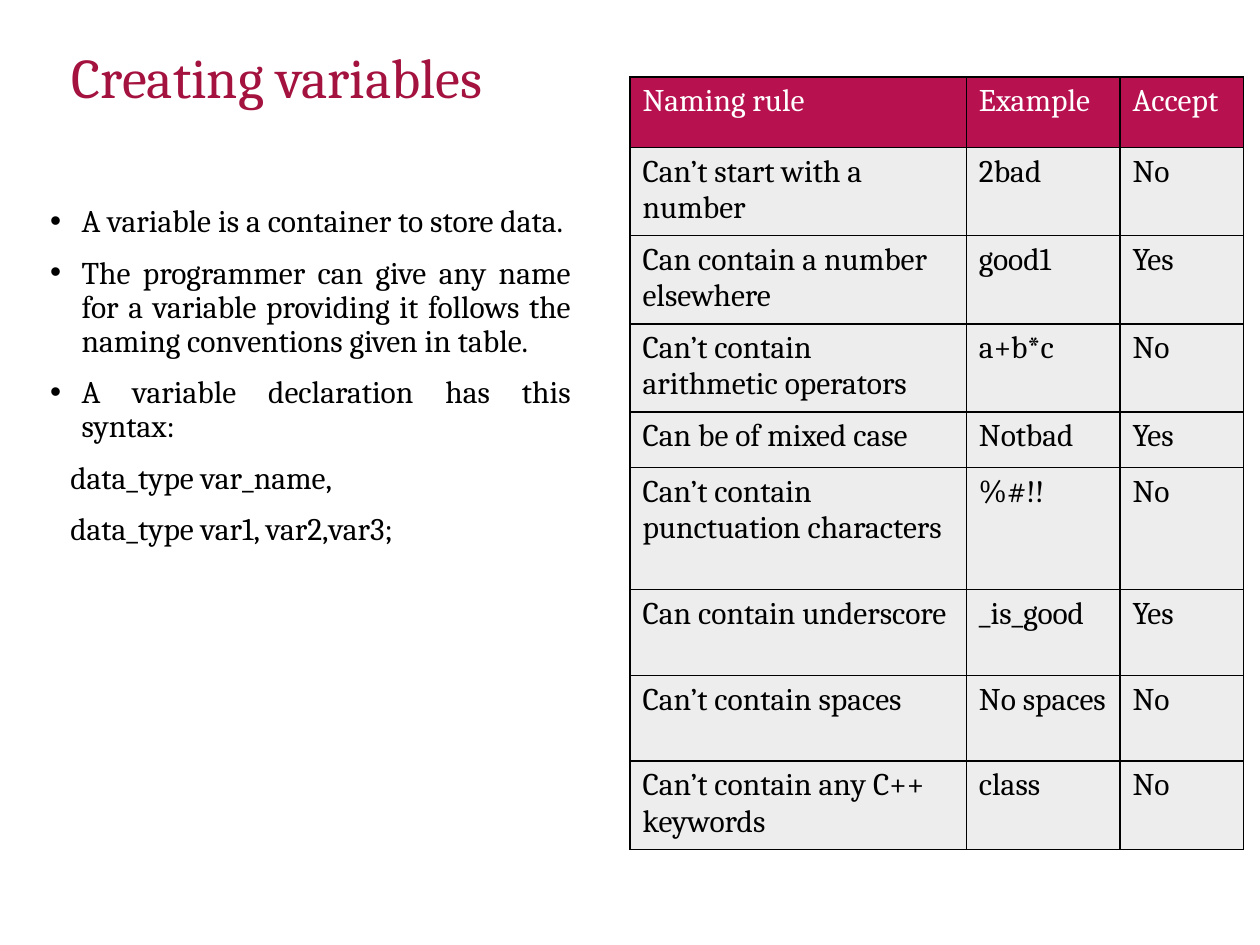
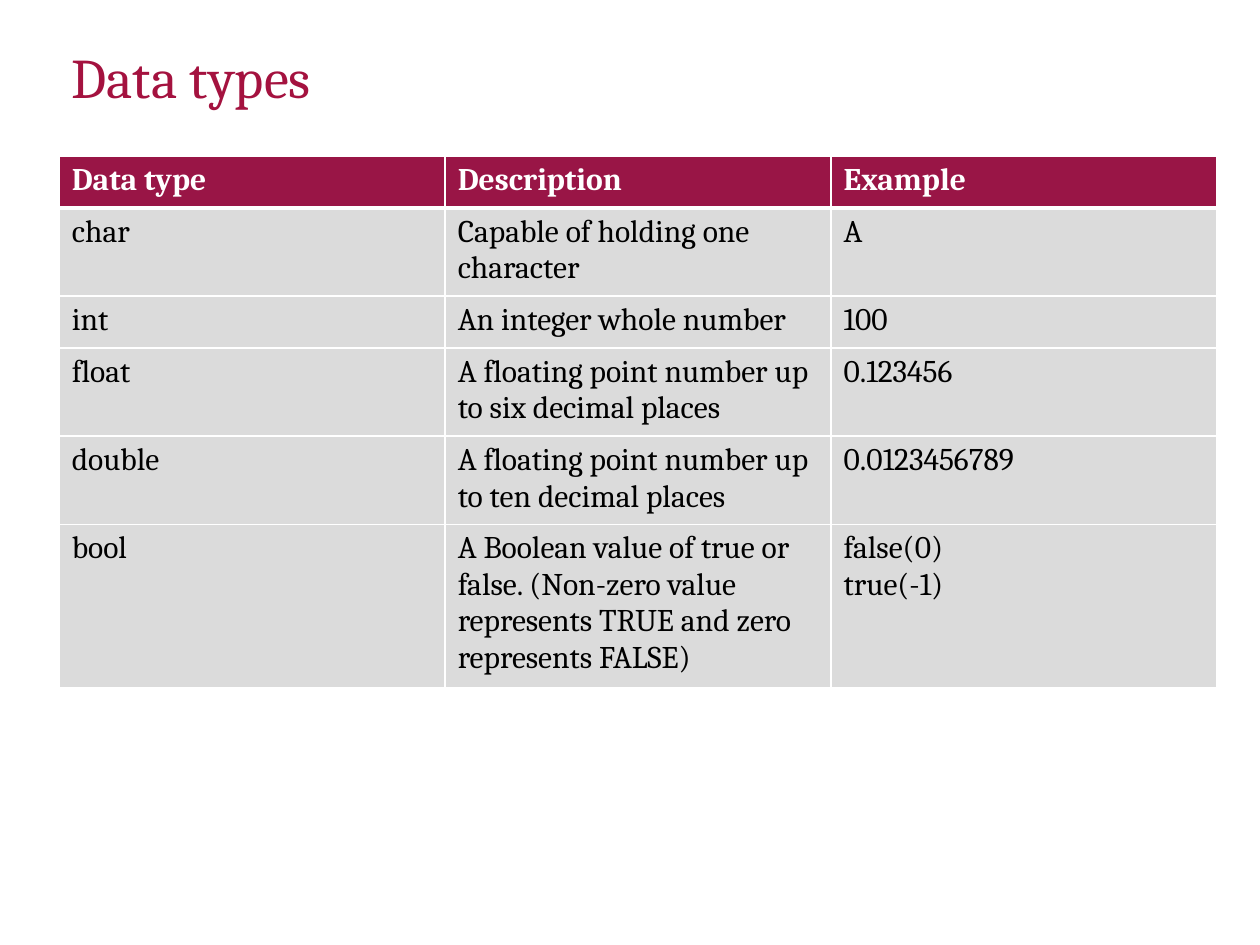
import pptx
import pptx.dml.color
import pptx.enum.text
import pptx.oxml.ns
import pptx.util
from lxml import etree

Inches = pptx.util.Inches
Pt = pptx.util.Pt

FONT = "Cambria"
BLACK, WHITE = "000000", "FFFFFF"
TITLE_COLOR = "A4123F"
TITLE_BOX = (0.47, 0.38, 9.19, 0.51)

NAMING_RULES = [
    ("Naming rule", "Example", "Accept"),
    ("Can’t start with a number", "2bad", "No"),
    ("Can contain a number elsewhere", "good1", "Yes"),
    ("Can’t contain arithmetic operators", "a+b*c", "No"),
    ("Can be of mixed case", "Notbad", "Yes"),
    ("Can’t contain punctuation characters", "%#!!", "No"),
    ("Can contain underscore", "_is_good", "Yes"),
    ("Can’t contain spaces", "No spaces", "No"),
    ("Can’t contain any C++ keywords", "class", "No"),
]
DATA_TYPES = [
    ("Data type", "Description", "Example"),
    ("char", "Capable of holding one character", "A"),
    ("int", "An integer whole number", "100"),
    ("float", "A floating point number up to six decimal places", "0.123456"),
    ("double", "A floating point number up to ten decimal places", "0.0123456789"),
    ("bool", "A Boolean value of true or false. (Non-zero value represents TRUE "
             "and zero represents FALSE)", "false(0)\ntrue(-1)"),
]
VARIABLE_POINTS = [
    "A variable is a container to store data.",
    "The programmer can give any name for a variable providing it follows "
    "the naming conventions given in table.",
    "A variable declaration has this syntax:",
]
SYNTAX_LINES = ["data_type var_name,", "data_type var1, var2,var3;"]


def color(hex_value):
    return pptx.dml.color.RGBColor.from_string(hex_value)


def add_element(parent, tag, **attributes):
    return etree.SubElement(parent, pptx.oxml.ns.qn(tag), attributes)


def set_font(paragraph, size, hex_value, bold=False):
    font = paragraph.font
    font.name = FONT
    font.size = Pt(size)
    font.bold = bold
    font.color.rgb = color(hex_value)


def add_text_frame(slide, box):
    frame = slide.shapes.add_textbox(*map(Inches, box)).text_frame
    frame.word_wrap = True
    return frame


def add_title(slide, text):
    frame = add_text_frame(slide, TITLE_BOX)
    frame.vertical_anchor = pptx.enum.text.MSO_ANCHOR.MIDDLE
    paragraph = frame.paragraphs[0]
    paragraph.text = text
    paragraph.line_spacing = 0.9
    set_font(paragraph, 32, TITLE_COLOR)


def set_indent(paragraph, left, first_line=0.0, bullet=None):
    properties = paragraph._p.get_or_add_pPr()
    properties.set("marL", str(Inches(left)))
    properties.set("indent", str(Inches(first_line)))
    if bullet:
        add_element(properties, "a:buFont", typeface="Arial")
        add_element(properties, "a:buChar", char=bullet)
    else:
        add_element(properties, "a:buNone")


def add_body(slide, box, points, syntax_lines):
    """Bulleted points followed by plain indented syntax lines."""
    frame = add_text_frame(slide, box)
    for index, text in enumerate(points + syntax_lines):
        paragraph = frame.add_paragraph() if index else frame.paragraphs[0]
        paragraph.text = text
        if index < len(points):
            set_indent(paragraph, 0.25, -0.25, "•")
        else:
            set_indent(paragraph, 0.16)
        paragraph.alignment = pptx.enum.text.PP_ALIGN.JUSTIFY
        paragraph.line_spacing = 0.9
        if index:
            paragraph.space_before = Pt(10)
        set_font(paragraph, 18, BLACK)


def set_borders(cell, hex_value, widths):
    """Draw the cell edges; widths maps L, R, T and B to points."""
    properties = cell._tc.get_or_add_tcPr()
    for side, width in widths.items():
        line = add_element(properties, f"a:ln{side}", w=str(Pt(width)))
        fill = add_element(line, "a:solidFill")
        add_element(fill, "a:srgbClr", val=hex_value)


def add_table(slide, origin, widths, heights, rows, header_fill, body_fill,
              border, header_rule=1, bold_header=False):
    left, top = origin
    table = slide.shapes.add_table(
        len(rows), len(widths), Inches(left), Inches(top),
        Inches(sum(widths)), Inches(sum(heights))).table
    table.horz_banding = False
    for column, width in zip(table.columns, widths):
        column.width = Inches(width)
    for row_index, (row, height, texts) in enumerate(zip(table.rows, heights, rows)):
        row.height = Inches(height)
        header = row_index == 0
        edges = {"L": 1, "R": 1,
                 "T": header_rule if row_index == 1 else 1,
                 "B": header_rule if header else 1}
        for cell, text in zip(row.cells, texts):
            set_borders(cell, border, edges)
            cell.fill.solid()
            cell.fill.fore_color.rgb = color(header_fill if header else body_fill)
            cell.text_frame.text = text
            for paragraph in cell.text_frame.paragraphs:
                set_font(paragraph, 18, WHITE if header else BLACK,
                         header and bold_header)


def add_slide(presentation, title):
    slide = presentation.slides.add_slide(presentation.slide_layouts[6])
    add_title(slide, title)
    return slide


def build_variables_slide(presentation):
    slide = add_slide(presentation, "Creating variables")
    add_body(slide, (0.3, 1.58, 4.33, 4.12), VARIABLE_POINTS, SYNTAX_LINES)
    heights = [0.56] + [0.68] * 3 + [0.44, 0.97] + [0.68] * 3
    add_table(slide, (5, 0.61), [2.67, 1.22, 0.98], heights, NAMING_RULES,
              "B8114F", "EDEDED", BLACK)


def build_data_types_slide(presentation):
    slide = add_slide(presentation, "Data types")
    heights = [0.41, 0.68, 0.41, 0.68, 0.68, 1.25]
    add_table(slide, (0.47, 1.24), [9.19 / 3] * 3, heights, DATA_TYPES,
              "991546", "DBDBDB", WHITE, header_rule=3, bold_header=True)


def main():
    presentation = pptx.Presentation()
    presentation.slide_width = Inches(10)
    presentation.slide_height = Inches(7.5)
    build_variables_slide(presentation)
    build_data_types_slide(presentation)
    presentation.save("out.pptx")


if __name__ == "__main__":
    main()
